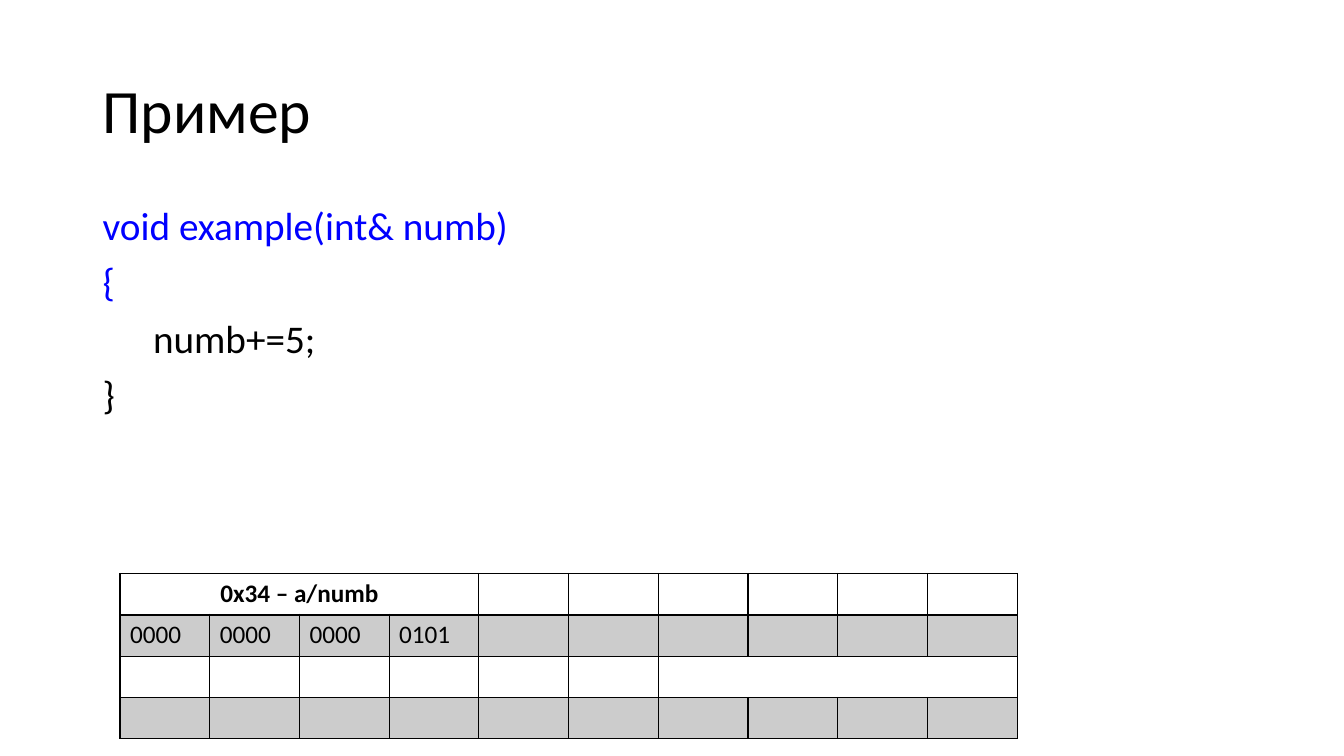
from pptx import Presentation
from pptx.util import Inches, Pt
from pptx.dml.color import RGBColor as RGB
from pptx.enum.text import MSO_ANCHOR as Anchor, PP_ALIGN as Align
from pptx.oxml import parse_xml
from pptx.oxml.ns import nsdecls

COLORS = {"ink": "000000", "blue": "0000FF", "band": "CCCCCC"}
COLS, ROWS = 10, 4
CELL_W, CELL_H = 0.89, 0.41


class Deck:
    font = "Calibri"

    def __init__(self):
        self.prs = Presentation()
        self.prs.slide_width = Inches(13.33)
        self.prs.slide_height = Inches(7.5)
        self.slide = self.prs.slides.add_slide(self.prs.slide_layouts[6])

    def style(self, para, size, color="ink", bold=False):
        for run in para.runs:
            run.font.name = self.font
            run.font.size = Pt(size)
            run.font.bold = bold
            run.font.color.rgb = RGB.from_string(COLORS[color])

    def text(self, box, lines, size, anchor=Anchor.TOP):
        frame = self.slide.shapes.add_textbox(*map(Inches, box)).text_frame
        frame.word_wrap = True
        frame.vertical_anchor = anchor
        frame.text = "\n".join(line for line, _ in lines)
        for i, (para, (_, color)) in enumerate(zip(frame.paragraphs, lines)):
            para.line_spacing = 0.9
            if i:
                para.space_before = Pt(10)
            self.style(para, size, color)

    def border(self, cell, side, width):
        cell._tc.get_or_add_tcPr().append(parse_xml(
            f'<a:ln{side} {nsdecls("a")} w="{Pt(width)}"><a:solidFill>'
            f'<a:srgbClr val="{COLORS["ink"]}"/></a:solidFill></a:ln{side}>'))

    def table(self, left, top, texts, spans):
        grid = self.slide.shapes.add_table(
            ROWS, COLS, Inches(left), Inches(top),
            Inches(CELL_W * COLS), Inches(CELL_H * ROWS)).table
        grid.first_row = grid.horz_banding = False
        for col in grid.columns:
            col.width = Inches(CELL_W)
        for r, row in enumerate(grid.rows):
            row.height = Inches(CELL_H)
            for c, cell in enumerate(row.cells):
                # Heavier rule between the header and the bytes
                for side in "LRTB":
                    heavy = (r, side) in ((0, "B"), (1, "T"))
                    self.border(cell, side, 2 if heavy else 1)
                if r % 2:
                    cell.fill.solid()
                    cell.fill.fore_color.rgb = RGB.from_string(COLORS["band"])
                else:
                    cell.fill.background()
                cell.text = texts.get((r, c), "")
                para = cell.text_frame.paragraphs[0]
                if r == 0:
                    para.alignment = Align.CENTER
                self.style(para, 18, bold=r == 0)
        for r, first, last in spans:
            grid.cell(r, first).merge(grid.cell(r, last))


def main():
    deck = Deck()

    # Title
    deck.text((0.92, 0.4, 11.5, 1.45), [("Пример", "ink")], 44, Anchor.MIDDLE)

    # Code
    deck.text((0.92, 2, 11.5, 4.76), [
        ("void example(int& numb)", "blue"),
        ("{", "blue"),
        ("\tnumb+=5;", "ink"),
        ("}", "ink"),
    ], 28)

    # Memory cells
    texts = {(0, 0): "0x34 – a/numb"}
    for c, bits in enumerate(("0000", "0000", "0000", "0101")):
        texts[1, c] = bits
    deck.table(1.19, 5.69, texts, [(0, 0, 3), (2, 6, 9)])

    deck.prs.save("out.pptx")


if __name__ == "__main__":
    main()
